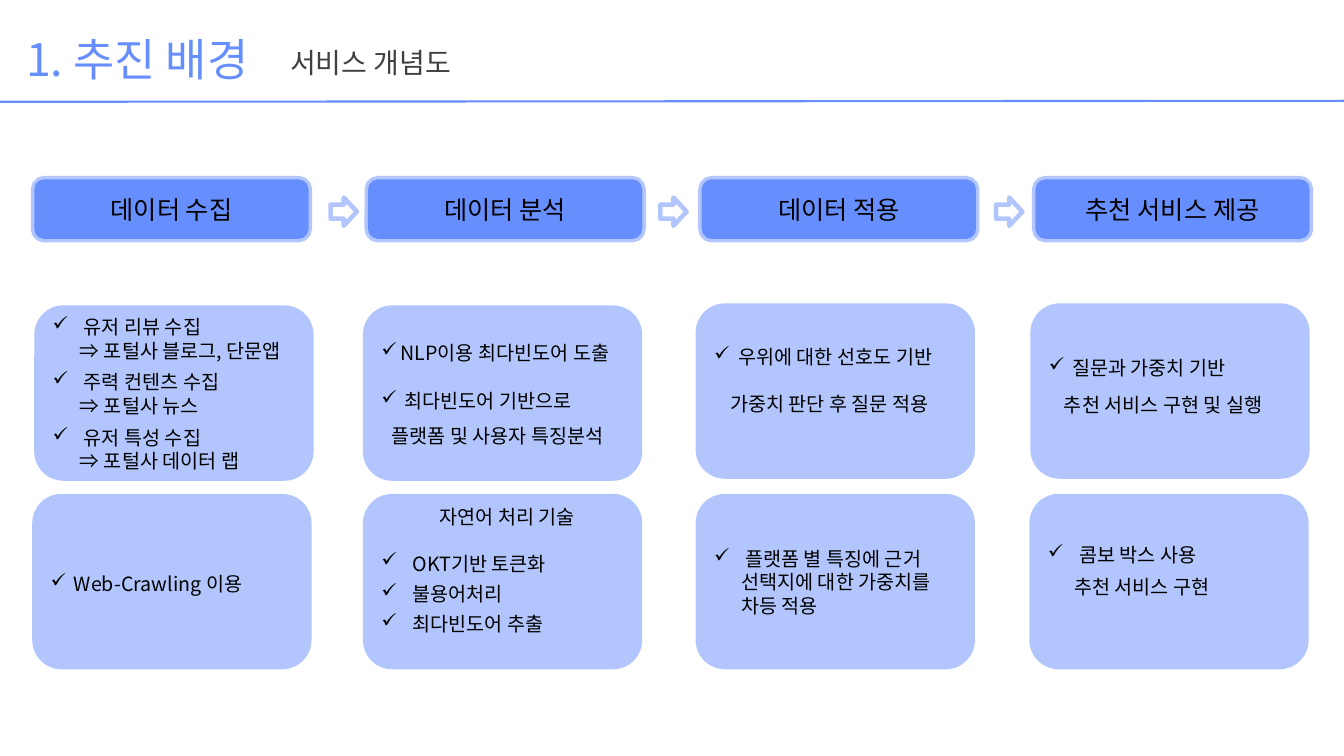
from dataclasses import dataclass

from lxml import etree
from pptx import Presentation
from pptx.dml.color import RGBColor
from pptx.enum.shapes import MSO_CONNECTOR, MSO_SHAPE
from pptx.enum.text import MSO_ANCHOR, PP_ALIGN
from pptx.oxml.ns import qn
from pptx.util import Inches, Pt

STRAIGHT = MSO_CONNECTOR.STRAIGHT
ROUNDED = MSO_SHAPE.ROUNDED_RECTANGLE
RIGHT_ARROW = MSO_SHAPE.RIGHT_ARROW
TOP, MIDDLE = MSO_ANCHOR.TOP, MSO_ANCHOR.MIDDLE
LEFT, CENTER = PP_ALIGN.LEFT, PP_ALIGN.CENTER


@dataclass(frozen=True)
class Theme:
    font: str = "Noto Sans CJK KR"
    blue: RGBColor = RGBColor(0x66, 0x8E, 0xFD)
    white: RGBColor = RGBColor(0xFF, 0xFF, 0xFF)
    black: RGBColor = RGBColor(0, 0, 0)
    gray: RGBColor = RGBColor(0x40, 0x40, 0x40)
    title_size: float = 32
    subtitle_size: float = 20
    step_size: float = 18
    body_size: float = 14
    body_line: float = 16.8
    opacity: int = 50


THEME = Theme()

STEPS = ["데이터 수집", "데이터 분석", "데이터 적용", "추천 서비스 제공"]
STEP_LEFT, STEP_PITCH, STEP_TOP = 0.34, 3.31, 1.78
STEP_WIDTH, STEP_HEIGHT = 2.72, 0.59
ARROW_LEFTS = [3.28, 6.55, 9.88]
CARD_WIDTH, CARD_HEIGHT = 2.77, 1.74

# Each card: left, top, top margin, lines of (text, has check, indent, space before)
CARDS = [
    (0.34, 3.03, 0.01, [
        ("유저 리뷰 수집", True, 0.31, 0),
        ("⇒ 포털사 블로그, 단문앱", False, 0.27, 0),
        ("주력 컨텐츠 수집", True, 0.31, 6),
        ("⇒ 포털사 뉴스", False, 0.27, 0),
        ("유저 특성 수집", True, 0.31, 6),
        ("⇒ 포털사 데이터 랩", False, 0.27, 0)]),
    (3.6, 3.03, 0.27, [
        ("NLP이용 최다빈도어 도출", True, 0.19, 0),
        ("최다빈도어 기반으로", True, 0.23, 17.5),
        ("플랫폼 및 사용자 특징분석", False, 0.1, 8)]),
    (6.9, 3.01, 0.33, [
        ("우위에 대한 선호도 기반", True, 0.24, 0),
        ("가중치 판단 후 질문 적용", False, 0.16, 16.8)]),
    (10.22, 3.01, 0.44, [
        ("질문과 가중치 기반", True, 0.23, 0),
        ("추천 서비스 구현 및 실행", False, 0.15, 9)]),
    (0.32, 4.9, 0.69, [("Web-Crawling 이용", True, 0.23, 0)]),
    (3.6, 4.9, 0.02, [
        ("자연어 처리 기술", False, None, 0),
        ("OKT기반 토큰화", True, 0.31, 16.8),
        ("불용어처리", True, 0.31, 4.8),
        ("최다빈도어 추출", True, 0.31, 4.8)]),
    (6.9, 4.9, 0.44, [
        ("플랫폼 별 특징에 근거", True, 0.31, 0),
        ("선택지에 대한 가중치를", False, 0.27, 0),
        ("차등 적용", False, 0.27, 0)]),
    (10.21, 4.9, 0.4, [
        ("콤보 박스 사용", True, 0.31, 0),
        ("추천 서비스 구현", False, 0.26, 6.4)]),
]


def style_font(paragraph, size, color):
    paragraph.font.name = THEME.font
    paragraph.font.size = Pt(size)
    paragraph.font.color.rgb = color
    for run in paragraph.runs:
        east_asian = etree.SubElement(run.font._element, qn("a:ea"))
        east_asian.set("typeface", THEME.font)


def make_translucent(fill_owner):
    """Fade the solid colour inside a shape's properties or its line."""
    color = fill_owner.find(qn("a:solidFill"))[0]
    etree.SubElement(color, qn("a:alpha")).set("val", str(THEME.opacity * 1000))


def set_indent(paragraph, indent, has_check):
    properties = paragraph._p.get_or_add_pPr()
    properties.set("marL", str(Inches(indent)))
    if has_check:
        properties.set("indent", str(-Inches(indent)))
        etree.SubElement(properties, qn("a:buChar")).set("char", "✓")


def add_block(slide, kind, box, fill, line_width=None):
    shape = slide.shapes.add_shape(kind, *map(Inches, box))
    shape.shadow.inherit = False
    shape.fill.solid()
    shape.fill.fore_color.rgb = fill
    if line_width is None:
        shape.line.fill.background()
    else:
        shape.line.color.rgb = THEME.blue
        shape.line.width = Pt(line_width)
        make_translucent(shape.line._ln)
    return shape


def add_label(slide, box, text, size, color):
    frame = slide.shapes.add_textbox(*map(Inches, box)).text_frame
    frame.word_wrap = True
    frame.vertical_anchor = MIDDLE
    frame.text = text
    style_font(frame.paragraphs[0], size, color)


def add_heading(slide, left, top, width):
    # Title, subtitle and the rule below them
    add_label(slide, (left + 0.16, top + 0.26, 2.61, 0.64), "1. 추진 배경",
              THEME.title_size, THEME.blue)
    add_label(slide, (left + 2.78, top + 0.4, 3.38, 0.44), "서비스 개념도",
              THEME.subtitle_size, THEME.gray)
    rule = slide.shapes.add_connector(
        STRAIGHT, Inches(left), Inches(top + 1.01), Inches(left + width), Inches(top + 1))
    rule.line.color.rgb = THEME.blue
    rule.line.width = Pt(1.5)
    etree.SubElement(rule._element.spPr, qn("a:effectLst"))


def add_step(slide, left, top, text):
    shape = add_block(slide, ROUNDED, (left, top, STEP_WIDTH, STEP_HEIGHT), THEME.blue, 5)
    frame = shape.text_frame
    frame.vertical_anchor = MIDDLE
    frame.text = text
    paragraph = frame.paragraphs[0]
    paragraph.alignment = CENTER
    style_font(paragraph, THEME.step_size, THEME.black)


def add_card(slide, left, top, margin_top, lines):
    shape = add_block(slide, ROUNDED, (left, top, CARD_WIDTH, CARD_HEIGHT), THEME.blue)
    make_translucent(shape._element.spPr)
    frame = shape.text_frame
    frame.word_wrap = True
    frame.vertical_anchor = TOP
    frame.margin_top = Inches(margin_top)
    frame.margin_right = frame.margin_bottom = 0
    for index, (text, has_check, indent, space_before) in enumerate(lines):
        paragraph = frame.paragraphs[0] if index == 0 else frame.add_paragraph()
        paragraph.text = text
        paragraph.alignment = CENTER if indent is None else LEFT
        paragraph.line_spacing = Pt(THEME.body_line)
        if space_before:
            paragraph.space_before = Pt(space_before)
        if indent is not None:
            set_indent(paragraph, indent, has_check)
        style_font(paragraph, THEME.body_size, THEME.black)


def add_process(slide):
    # Step headers joined by arrows
    for index, text in enumerate(STEPS):
        add_step(slide, STEP_LEFT + STEP_PITCH * index, STEP_TOP, text)
    for left in ARROW_LEFTS:
        add_block(slide, RIGHT_ARROW, (left, STEP_TOP + 0.18, 0.26, 0.28), THEME.white, 3.25)
    # Detail cards
    for card in CARDS:
        add_card(slide, *card)


def main():
    presentation = Presentation()
    presentation.slide_width = Inches(13.33)
    presentation.slide_height = Inches(7.5)
    slide = presentation.slides.add_slide(presentation.slide_layouts[6])
    add_heading(slide, 0, 0, 13.33)
    add_process(slide)
    presentation.save("out.pptx")


if __name__ == "__main__":
    main()
